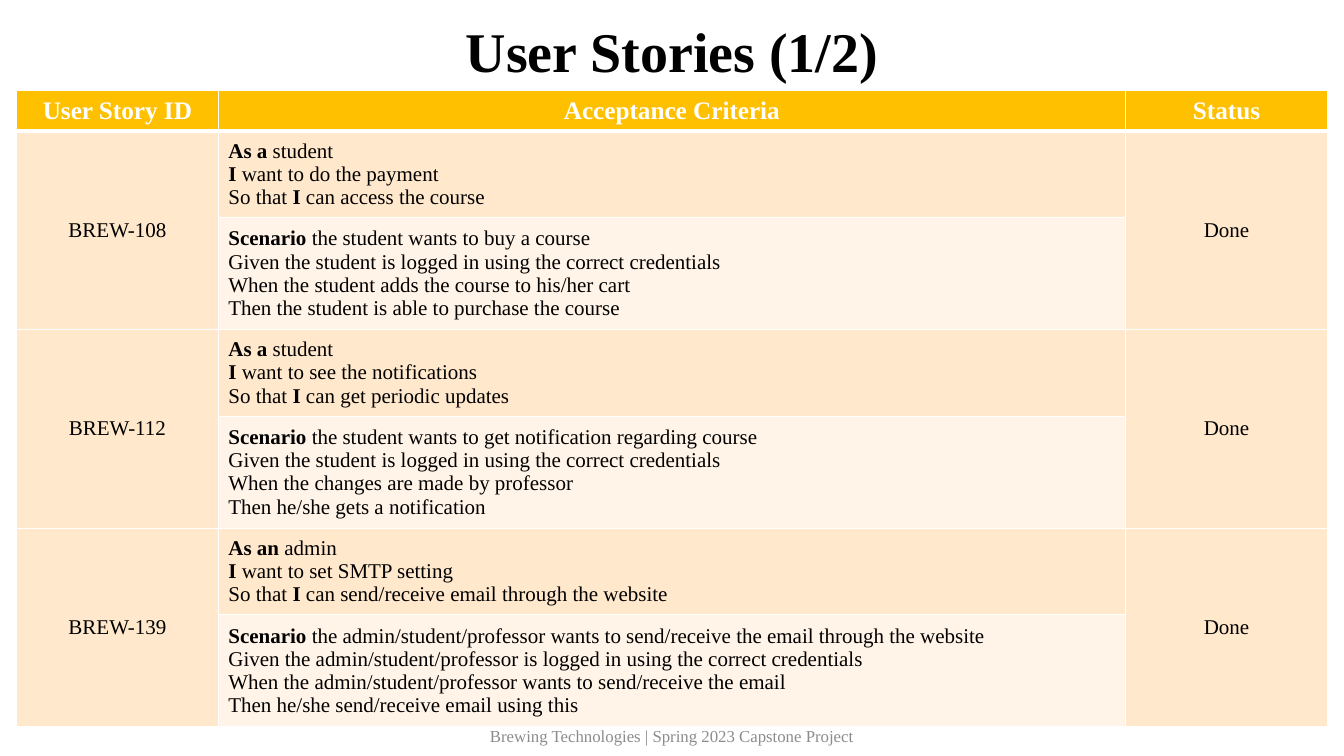
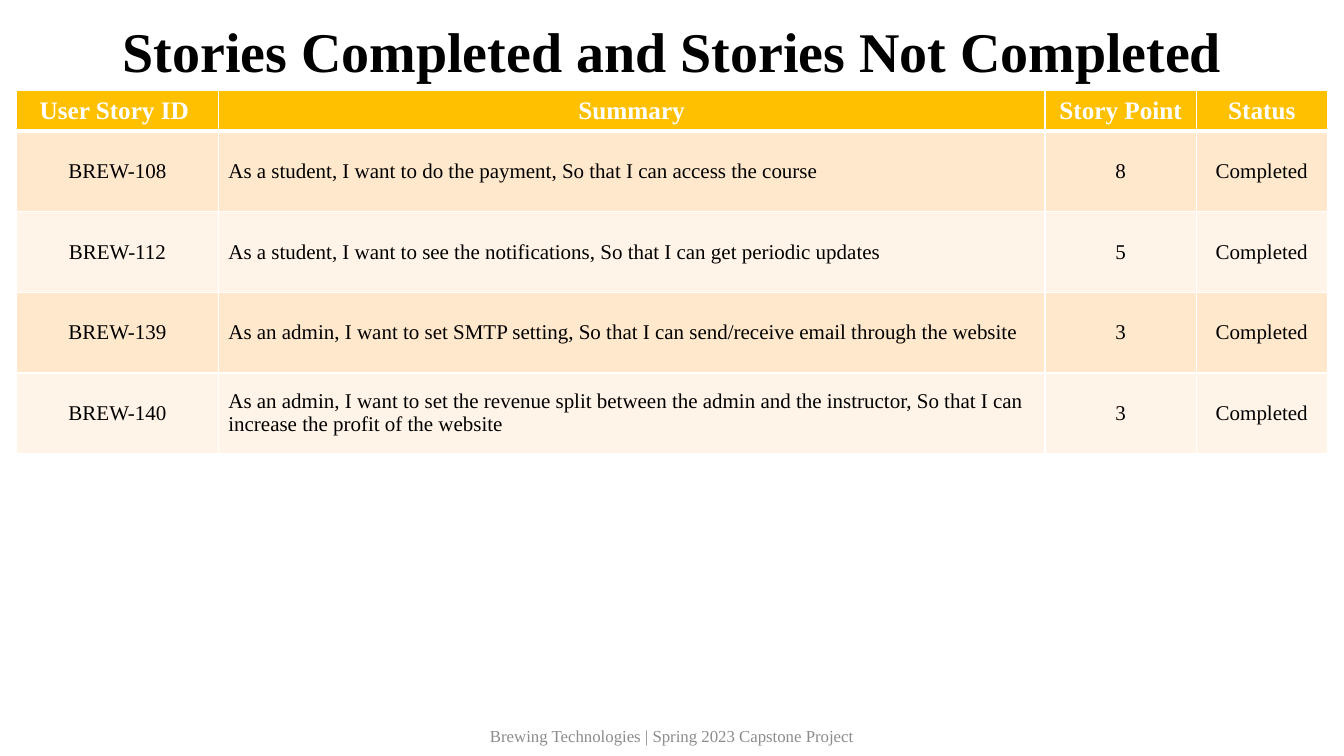
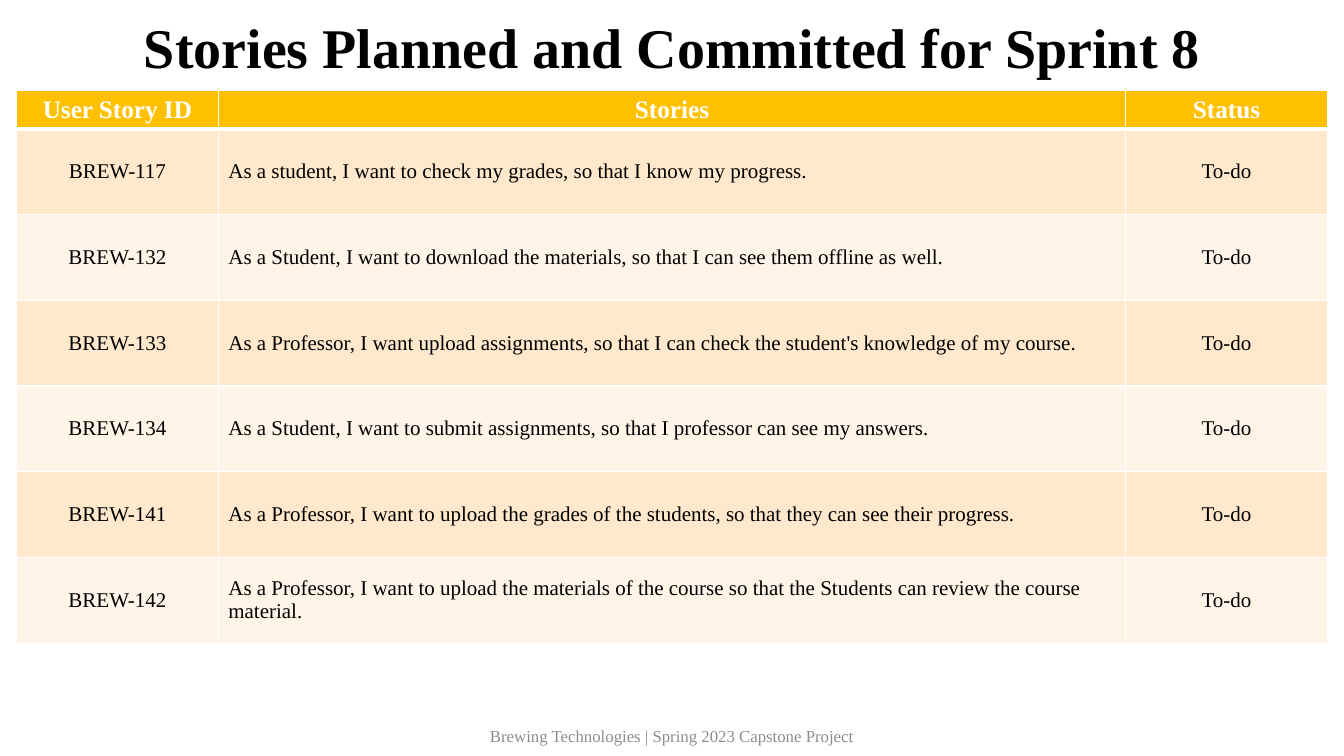
from dataclasses import dataclass
from typing import Optional

import pptx
import pptx.dml.color
import pptx.enum.text
import pptx.oxml.ns
import pptx.util
from lxml import etree

Inches = pptx.util.Inches
Align = pptx.enum.text.PP_ALIGN
Middle = pptx.enum.text.MSO_ANCHOR.MIDDLE


@dataclass(frozen=True)
class Theme:
    font: str = "Times New Roman"
    ink: str = "000000"
    white: str = "FFFFFF"
    footer_grey: str = "8C8C8C"
    header_fill: str = "FFC000"
    band_fills: tuple[str, str] = ("FFE8CC", "FFF4E7")
    title_size: int = 40
    header_size: int = 18
    body_size: int = 15
    footer_size: int = 12
    thin_rule: int = 1
    thick_rule: int = 3


@dataclass(frozen=True)
class Column:
    heading: str
    width: float
    align: Align = Align.CENTER


@dataclass(frozen=True)
class Board:
    """One slide: a title over a table. A None cell continues the one above."""
    title: str
    title_width: float
    columns: list[Column]
    header_height: float
    row_heights: list[float]
    rows: list[list[Optional[str]]]
    title_spacing: float = 1.0


@dataclass(frozen=True)
class Story:
    key: str
    article: str
    role: str
    wish: str
    benefit: str
    scenario: str

    def criteria(self) -> str:
        return (f"*As {self.article} *{self.role}\n*I* want to {self.wish}\n"
                f"So that *I* can {self.benefit}")


THEME = Theme()
SLIDE_WIDTH, SLIDE_HEIGHT = 13.33, 7.5
TABLE_TOP = 0.9
FOOTER = "Brewing Technologies | Spring 2023 Capstone Project"

# Content
STORIES = [
    Story("BREW-108", "a", "student", "do the payment", "access the course",
          "*Scenario* the student wants to buy a course\n"
          "Given the student is logged in using the correct credentials\n"
          "When the student adds the course to his/her cart\n"
          "Then the student is able to purchase the course"),
    Story("BREW-112", "a", "student", "see the notifications", "get periodic updates",
          "*Scenario* the student wants to get notification regarding course\n"
          "Given the student is logged in using the correct credentials\n"
          "When the changes are made by professor\n"
          "Then he/she gets a notification"),
    Story("BREW-139", "an", "admin", "set SMTP setting",
          "send/receive email through the website",
          "*Scenario* the admin/student/professor wants to send/receive the email "
          "through the website\n"
          "Given the admin/student/professor is logged in using the correct credentials\n"
          "When the admin/student/professor wants to send/receive the email\n"
          "Then he/she send/receive email using this"),
]

COMPLETED = [
    ("BREW-108", "As a student, I want to do the payment, So that I can access the course", "8"),
    ("BREW-112", "As a student, I want to see the notifications, "
                 "So that I can get periodic updates", "5"),
    ("BREW-139", "As an admin, I want to set SMTP setting, "
                 "So that I can send/receive email through the website", "3"),
    ("BREW-140", "As an admin, I want to set the revenue split between the admin and "
                 "the instructor, So that I can increase the profit of the website", "3"),
]

PLANNED = [
    ("BREW-117", "As a student, I want to check my grades, so that I know my progress."),
    ("BREW-132", "As a Student, I want to download the materials, "
                 "so that I can see them offline as well."),
    ("BREW-133", "As a Professor, I want upload assignments, "
                 "so that I can check the student's knowledge of my course."),
    ("BREW-134", "As a Student, I want to submit assignments, "
                 "so that I professor can see my answers."),
    ("BREW-141", "As a Professor, I want to upload the grades of the students, "
                 "so that they can see their progress."),
    ("BREW-142", "As a Professor, I want to upload the materials of the course "
                 "so that the Students can review the course material."),
]

BOARDS = [
    Board("User Stories (1/2)", 9.24,
          [Column("User Story ID", 2), Column("Acceptance Criteria", 9, Align.LEFT),
           Column("Status", 2)],
          0.4, [0.86, 1.11] * len(STORIES),
          [row for story in STORIES
           for row in ([story.key, story.criteria(), "Done"], [None, story.scenario, None])]),
    Board("Stories Completed and Stories Not Completed", 11.2,
          [Column("User Story ID ", 2), Column("Summary", 8.2, Align.LEFT),
           Column("Story Point", 1.5), Column("Status", 1.3)],
          0.4, [0.8] * len(COMPLETED),
          [[key, summary, points, "Completed"] for key, summary, points in COMPLETED]),
    Board("Stories Planned and Committed for Sprint 8", 10.8,
          [Column("User Story ID", 2), Column("Stories", 9, Align.LEFT), Column("Status", 2)],
          0.37, [0.85] * len(PLANNED),
          [[key, story, "To-do"] for key, story in PLANNED],
          title_spacing=0.9),
]


def rgb(value: str) -> pptx.dml.color.RGBColor:
    return pptx.dml.color.RGBColor.from_string(value)


def write(frame, text: str, size: int, color: str, align: Align,
          bold: bool = False, spacing: float = 1.0) -> None:
    """Write one paragraph a line; parts between asterisks are bold."""
    for number, line in enumerate(text.split("\n")):
        paragraph = frame.add_paragraph() if number else frame.paragraphs[0]
        paragraph.alignment = align
        paragraph.line_spacing = spacing
        for index, part in enumerate(line.split("*")):
            if part:
                run = paragraph.add_run()
                run.text = part
                run.font.name = THEME.font
                run.font.size = pptx.util.Pt(size)
                run.font.bold = bold or index % 2 == 1
                run.font.color.rgb = rgb(color)


def centred_text(slide, top: float, width: float, height: float, text: str, size: int,
                 color: str, bold: bool = False, spacing: float = 1.0) -> None:
    box = slide.shapes.add_textbox(Inches((SLIDE_WIDTH - width) / 2), Inches(top),
                                   Inches(width), Inches(height))
    box.text_frame.word_wrap = True
    box.text_frame.vertical_anchor = Middle
    write(box.text_frame, text, size, color, Align.CENTER, bold, spacing)


def style_cell(cell, fill: str, top_rule: int, bottom_rule: int) -> None:
    properties = cell._tc.get_or_add_tcPr()
    rules = {"L": THEME.thin_rule, "R": THEME.thin_rule, "T": top_rule, "B": bottom_rule}
    for side, points in rules.items():
        line = etree.SubElement(properties, pptx.oxml.ns.qn(f"a:ln{side}"),
                                w=str(pptx.util.Pt(points)))
        solid = etree.SubElement(line, pptx.oxml.ns.qn("a:solidFill"))
        etree.SubElement(solid, pptx.oxml.ns.qn("a:srgbClr"), val=THEME.white)
    cell.fill.solid()
    cell.fill.fore_color.rgb = rgb(fill)
    cell.vertical_anchor = Middle


def draw_table(slide, board: Board) -> None:
    heights = [board.header_height, *board.row_heights]
    width = sum(column.width for column in board.columns)
    table = slide.shapes.add_table(
        len(heights), len(board.columns), Inches((SLIDE_WIDTH - width) / 2),
        Inches(TABLE_TOP), Inches(width), Inches(sum(heights))).table
    table.horz_banding = False
    for row, height in zip(table.rows, heights):
        row.height = Inches(height)

    for x, column in enumerate(board.columns):
        table.columns[x].width = Inches(column.width)
        # Header
        header = table.cell(0, x)
        header.margin_top = header.margin_bottom = Inches(0.04)
        style_cell(header, THEME.header_fill, THEME.thin_rule, THEME.thick_rule)
        write(header.text_frame, column.heading, THEME.header_size, THEME.white,
              Align.CENTER, bold=True)
        # Body
        for y, row in enumerate(board.rows, start=1):
            cell = table.cell(y, x)
            style_cell(cell, THEME.band_fills[(y - 1) % 2],
                       THEME.thick_rule if y == 1 else THEME.thin_rule, THEME.thin_rule)
            if row[x] is None:
                table.cell(y - 1, x).merge(cell)
            else:
                write(cell.text_frame, row[x], THEME.body_size, THEME.ink, column.align)


def draw_board(deck, board: Board) -> None:
    slide = deck.slides.add_slide(deck.slide_layouts[6])
    centred_text(slide, 7.1, 4.5, 0.4, FOOTER, THEME.footer_size, THEME.footer_grey)
    centred_text(slide, 0.1, board.title_width, 0.8, board.title, THEME.title_size,
                 THEME.ink, bold=True, spacing=board.title_spacing)
    draw_table(slide, board)


def main() -> None:
    deck = pptx.Presentation()
    deck.slide_width, deck.slide_height = Inches(SLIDE_WIDTH), Inches(SLIDE_HEIGHT)
    for board in BOARDS:
        draw_board(deck, board)
    deck.save("out.pptx")


if __name__ == "__main__":
    main()
